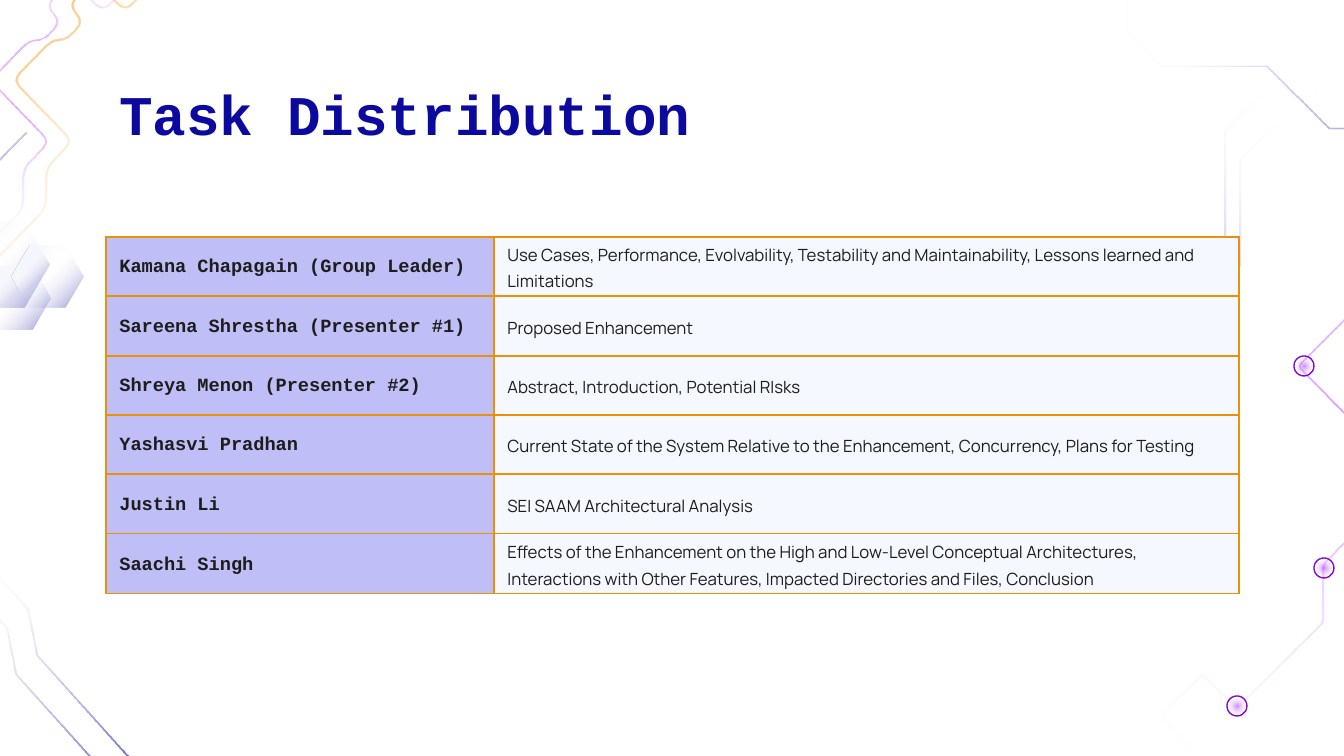
import math

from lxml import etree
from pptx import Presentation
from pptx import util as u
from pptx.dml.color import RGBColor
from pptx.enum import shapes, text
from pptx.oxml import parse_xml
from pptx.oxml.ns import nsdecls, qn

PX = 914400 / 134.4
HUES = {
    "navy": "0C0A9E", "white": "FFFFFF", "pale": "F5F8FF", "lilac": "BFBEF7",
    "violet": "9900FF", "ring": "8208D5", "gold": "EB9109", "amber": "FF9900",
    "ink": "1D1D1D",
}
FADE = (100, "white", 0)
NAVY = [(0, "navy", 100), FADE]
HAZE = [(0, "navy", 37), FADE]
GLOW = [(0, "violet", 47), FADE]
GOLD = [(0, "gold", 100), (40, "amber", 41), FADE]
GLASS = [(0, "pale", 100), (22, "pale", 100), (45, "white", 0), (100, "navy", 50)]

TRACE = [(1124, 524), (1178, 470), (1178, 328), (1240, 266), (1240, 160),
         (1274, 126), (1331, 126), (1331, 109)]
WEB = [(1622, 40), (1540, 125), (1583, 171), (1438, 317), (1391, 273),
       (1298, 366), (1408, 477), (1323, 564), (1323, 622), (1237, 707),
       (1202, 674), (1161, 715), (1193, 750), (1179, 769), (1193, 786)]
ROOT = [(159, 840), (147, 777), (37, 655), (28, 609), (-21, 555)]
VINE = [(77, -84), (148, -13), (125, 11), (93, -20), (69, 5), (83, 22), (66, 40),
        (52, 40), (13, 80), (72, 141), (46, 168), (46, 208), (0, 255)]
HOOK = [(26, 132), (-13, 171), (-13, 95), (-44, 95), (-44, 26)]
NODES = [(1237, 706), (1324, 568), (1304, 366)]
HEXES = [(-51, 222, 100, 86), (-20, 267, 71, 62), (12, 246, 71, 62)]

TASKS = [
    ("Kamana Chapagain (Group Leader)",
     "Use Cases, Performance, Evolvability, Testability and Maintainability, "
     "Lessons learned and Limitations"),
    ("Sareena Shrestha (Presenter #1)", "Proposed Enhancement"),
    ("Shreya Menon (Presenter #2)", "Abstract, Introduction, Potential RIsks"),
    ("Yashasvi Pradhan",
     "Current State of the System Relative to the Enhancement, Concurrency, "
     "Plans for Testing"),
    ("Justin Li", "SEI SAAM Architectural Analysis"),
    ("Saachi Singh",
     "Effects of the Enhancement on the High and Low-Level Conceptual "
     "Architectures, Interactions with Other Features, Impacted Directories "
     "and Files, Conclusion"),
]


def px(*vals):
    return [u.Emu(round(v * PX)) for v in vals]


def rgb(hue):
    return RGBColor.from_string(HUES[hue])


def blend(shape, stops, angle=None):
    marks = "".join(
        f'<a:gs pos="{pos * 1000}"><a:srgbClr val="{HUES[hue]}">'
        f'<a:alpha val="{alpha * 1000}"/></a:srgbClr></a:gs>'
        for pos, hue, alpha in stops)
    if angle is None:
        way = ('<a:path path="circle"><a:fillToRect l="50000" t="50000" '
               'r="50000" b="50000"/></a:path>')
    else:
        way = f'<a:lin ang="{round(angle * 60000)}" scaled="0"/>'
    shape.fill.background()
    old = shape.element.spPr.find(qn("a:noFill"))
    old.getparent().replace(old, parse_xml(
        f'<a:gradFill {nsdecls("a")} rotWithShape="1">'
        f'<a:gsLst>{marks}</a:gsLst>{way}</a:gradFill>'))
    shape.line.fill.background()
    shape.shadow.inherit = False


def shift(points, dx, dy):
    return [(x + dx, y + dy) for x, y in points]


def soften(points, reach):
    out = [points[0]]
    for a, b, c in zip(points, points[1:], points[2:]):
        ends = []
        for p in (a, c):
            part = min(reach / math.dist(p, b), 0.5)
            ends.append([b[i] + (p[i] - b[i]) * part for i in (0, 1)])
        for t in (0, 0.25, 0.5, 0.75, 1):
            out.append(tuple((1 - t) ** 2 * ends[0][i] + 2 * t * (1 - t) * b[i]
                             + t * t * ends[1][i] for i in (0, 1)))
    return out + [points[-1]]


def ribbon(slide, points, stops, angle=None, reach=0):
    if reach:
        points = soften(points, reach)
    points = [p for i, p in enumerate(points)
              if i == 0 or math.dist(p, points[i - 1]) > 0.01]
    norms = []
    for a, b in zip(points, points[1:]):
        size = math.dist(a, b)
        norms.append(((a[1] - b[1]) / size, (b[0] - a[0]) / size))
    left, right = [], []
    for (x, y), m, n in zip(points, norms[:1] + norms, norms + norms[-1:]):
        base = max(1 + m[0] * n[0] + m[1] * n[1], 0.3)
        dx, dy = (m[0] + n[0]) / base, (m[1] + n[1]) / base
        left.append((x + dx, y + dy))
        right.append((x - dx, y - dy))
    edge = [px(*p) for p in left + right[::-1]]
    pen = slide.shapes.build_freeform(*edge[0], scale=1.0)
    pen.add_line_segments(edge[1:], close=True)
    blend(pen.convert_to_shape(), stops, angle)


def disc(slide, x, y, size):
    return slide.shapes.add_shape(
        shapes.MSO_SHAPE.OVAL, *px(x - size / 2, y - size / 2, size, size))


def node(slide, x, y):
    ring = disc(slide, x, y, 20)
    ring.fill.background()
    ring.line.color.rgb = rgb("ring")
    ring.line.width = u.Pt(0.75)
    ring.shadow.inherit = False
    blend(disc(slide, x, y, 15), GLOW)


def hexagon(slide, box):
    shape = slide.shapes.add_shape(shapes.MSO_SHAPE.HEXAGON, *px(*box))
    shape.adjustments[0] = 0.29
    blend(shape, GLASS, 45)


def style(para, face, size, hue, bold):
    font = para.font
    font.name, font.size, font.bold = face, u.Pt(size), bold
    font.color.rgb = rgb(hue)


def title(slide, words):
    frame = slide.shapes.add_textbox(*px(106, 66, 1133, 85)).text_frame
    frame.word_wrap = True
    frame.margin_left = frame.margin_right = u.Inches(0.1)
    frame.margin_top = frame.margin_bottom = u.Inches(0.1)
    frame.text = words
    style(frame.paragraphs[0], "Courier New", 30, "navy", True)


def border(cell):
    props = cell._tc.get_or_add_tcPr()
    for i, side in enumerate(("lnL", "lnR", "lnT", "lnB")):
        line = etree.Element(qn(f"a:{side}"), w=str(u.Pt(0.75)))
        fill = etree.SubElement(line, qn("a:solidFill"))
        etree.SubElement(fill, qn("a:srgbClr"), val=HUES["gold"])
        props.insert(i, line)


def grid(slide):
    wide, high = (388, 745), (59, 60, 59, 59, 60, 60)
    table = slide.shapes.add_table(
        len(TASKS), 2, *px(106, 237, sum(wide), sum(high))).table
    table.first_row = table.horz_banding = False
    for col, size in zip(table.columns, px(*wide)):
        col.width = size
    looks = [("lilac", "Courier New", 10, True), ("pale", "Manrope", 9, False)]
    for row, size, task in zip(table.rows, px(*high), TASKS):
        row.height = size
        for cell, words, (hue, face, points, bold) in zip(row.cells, task, looks):
            cell.text = words
            cell.vertical_anchor = text.MSO_ANCHOR.MIDDLE
            cell.margin_left = cell.margin_right = u.Inches(0.1)
            cell.margin_top = cell.margin_bottom = 0
            cell.fill.solid()
            cell.fill.fore_color.rgb = rgb(hue)
            border(cell)
            para = cell.text_frame.paragraphs[0]
            para.line_spacing = 1.15
            style(para, face, points, "ink", bold)


def main():
    deck = Presentation()
    deck.slide_width, deck.slide_height = px(1344, 756)
    slide = deck.slides.add_slide(deck.slide_layouts[6])
    ribbon(slide, TRACE, NAVY, 270)
    ribbon(slide, shift(TRACE, -15, -29), NAVY, 270)
    ribbon(slide, [(y + 1001, 1306 - x) for x, y in TRACE], NAVY, 180)
    ribbon(slide, WEB, GLOW, reach=4)
    for x, y in NODES:
        node(slide, x, y)
    ribbon(slide, ROOT, NAVY, 228)
    ribbon(slide, shift(ROOT, -21, 19), NAVY, 228)
    for box in HEXES:
        hexagon(slide, box)
    ribbon(slide, VINE, GOLD, 45, reach=10)
    ribbon(slide, shift(VINE, -23, 0), GLOW, reach=10)
    ribbon(slide, HOOK, HAZE, 225)
    title(slide, "Task Distribution")
    grid(slide)
    deck.save("out.pptx")


if __name__ == "__main__":
    main()
